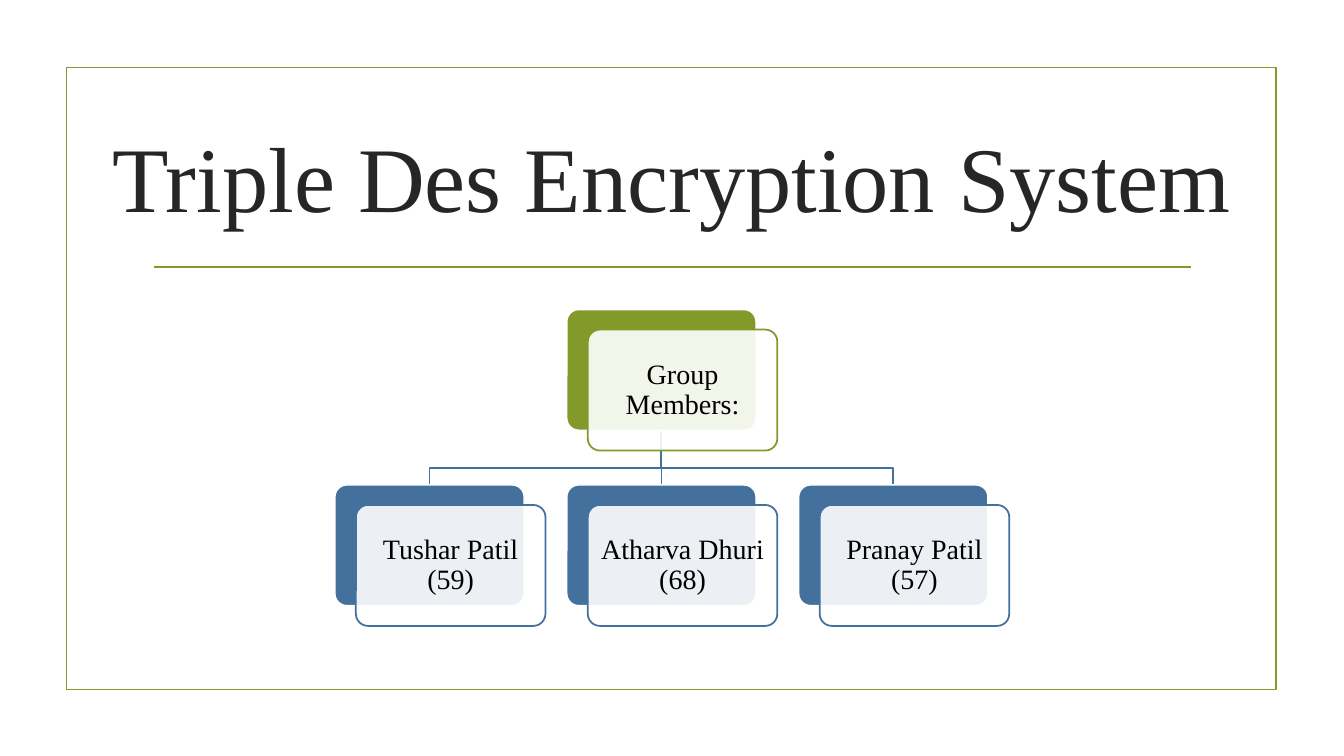
from lxml.etree import SubElement
from pptx import Presentation
from pptx.dml.color import RGBColor
from pptx.enum.shapes import MSO_CONNECTOR as CONN, MSO_SHAPE as SHAPE
from pptx.enum.text import MSO_ANCHOR as ANCHOR, PP_ALIGN as ALIGN
from pptx.oxml.ns import qn
from pptx.util import Pt

PX = 9144  # 100 px to the inch
FONT = "Times New Roman"
GREEN = RGBColor(0x83, 0x99, 0x2A)
BLUE = RGBColor(0x44, 0x70, 0x9D)
WHITE = RGBColor(0xFF, 0xFF, 0xFF)
BLACK = RGBColor(0x00, 0x00, 0x00)
INK = RGBColor(0x26, 0x26, 0x26)

LINE_WIDTH = Pt(1.25)
CARD_W, CARD_H = 188, 120
SHIFT_X, SHIFT_Y = 21, 20
ROOT_X, ROOT_Y = 562, 307
MEMBER_X, MEMBER_Y, MEMBER_STEP = 332, 481, 230
BEND_Y = 464
MEMBERS = ["Tushar Patil (59)", "Atharva Dhuri (68)", "Pranay Patil (57)"]


def px(*lengths):
    return [n * PX for n in lengths]


def set_line(shape, color):
    shape.line.color.rgb = color
    shape.line.width = LINE_WIDTH


def set_text(shape, text, size, color, inset):
    tf = shape.text_frame
    tf.word_wrap = True
    tf.vertical_anchor = ANCHOR.MIDDLE
    tf.margin_left = tf.margin_right = tf.margin_top = tf.margin_bottom = inset * PX
    p = tf.paragraphs[0]
    p.text = text
    p.alignment = ALIGN.CENTER
    p.font.name, p.font.size, p.font.color.rgb = FONT, Pt(size), color
    return p


def add_box(s, kind, x, y, w, h, fill, line):
    sp = s.shapes.add_shape(kind, *px(x, y, w, h))
    sp.shadow.inherit = False
    if fill is None:
        sp.fill.background()
    else:
        sp.fill.solid()
        sp.fill.fore_color.rgb = fill
    set_line(sp, line)
    return sp


def add_line(s, x1, y1, x2, y2, color):
    c = s.shapes.add_connector(CONN.STRAIGHT, *px(x1, y1, x2, y2))
    set_line(c, color)
    SubElement(c._element.spPr, qn("a:effectLst"))


def add_branch(s, x1, y1, x2, y2):
    """Link a parent to a child, bending at BEND_Y when they are not aligned."""
    if x1 == x2:
        add_line(s, x1, y1, x2, y2, BLUE)
        return
    fb = s.shapes.build_freeform(x1, y1, scale=PX)
    fb.add_line_segments([(x1, BEND_Y), (x2, BEND_Y), (x2, y2)], close=False)
    sp = fb.convert_to_shape()
    sp.shadow.inherit = False
    sp.fill.background()
    set_line(sp, BLUE)


def add_node(s, x, y, text, color):
    """Coloured card with a translucent, captioned card shifted over it."""
    back = add_box(s, SHAPE.ROUNDED_RECTANGLE, x, y, CARD_W, CARD_H, color, WHITE)
    front = add_box(s, SHAPE.ROUNDED_RECTANGLE, x + SHIFT_X, y + SHIFT_Y,
                    CARD_W, CARD_H, WHITE, color)
    for card in (back, front):
        card.adjustments[0] = 0.1
    rgb = front._element.spPr.find(qn("a:solidFill")).find(qn("a:srgbClr"))
    SubElement(rgb, qn("a:alpha"), val="90000")
    set_text(front, text, 20, BLACK, 8).line_spacing = 0.9


def main():
    prs = Presentation()
    prs.slide_width, prs.slide_height = px(1333, 750)
    s = prs.slides.add_slide(prs.slide_layouts[6])

    add_box(s, SHAPE.RECTANGLE, 66, 67, 1200, 617, None, GREEN)
    add_line(s, 153, 265, 1181, 265, GREEN)
    title = s.shapes.add_textbox(*px(85, 122, 1163, 105))
    set_text(title, "Triple Des Encryption System", 66, INK, 0)

    member_xs = [MEMBER_X + i * MEMBER_STEP for i in range(len(MEMBERS))]
    half = CARD_W // 2
    for x in member_xs:
        add_branch(s, ROOT_X + half, ROOT_Y + CARD_H, x + half, MEMBER_Y)
    add_node(s, ROOT_X, ROOT_Y, "Group Members:", GREEN)
    for x, name in zip(member_xs, MEMBERS):
        add_node(s, x, MEMBER_Y, name, BLUE)

    prs.save("out.pptx")


if __name__ == "__main__":
    main()
